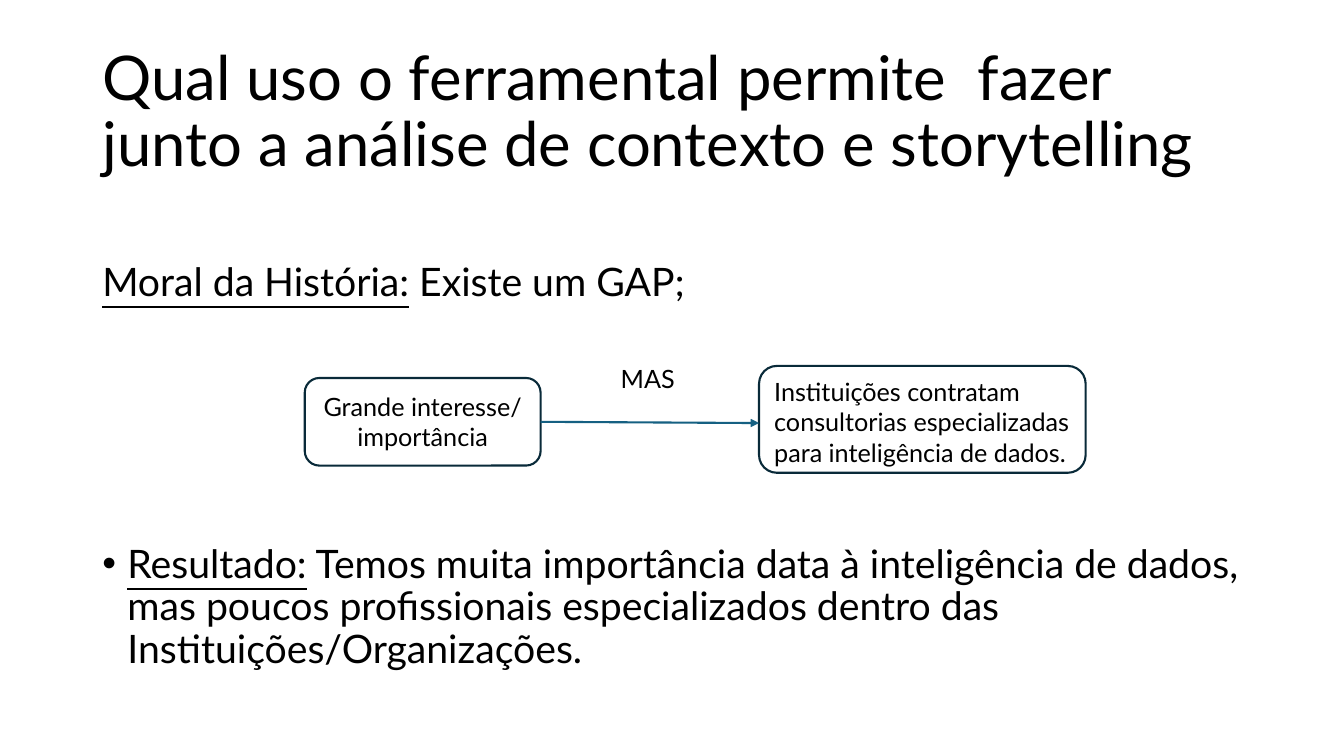
import dataclasses
import typing

import lxml.etree
import pptx
import pptx.dml.color
import pptx.enum.shapes
import pptx.enum.text
import pptx.oxml.ns
import pptx.util

Pt = pptx.util.Pt
Align = pptx.enum.text.PP_ALIGN
Anchor = pptx.enum.text.MSO_ANCHOR


@dataclasses.dataclass(frozen=True)
class Theme:
    font: str = "Lato"
    ink: str = "000000"
    outline: str = "092A39"
    arrow: str = "156082"
    title: float = 44
    body: float = 28
    label: float = 18
    stroke: float = 1.5
    tight: float = 0.9


@dataclasses.dataclass(frozen=True)
class Bounds:
    left: float
    top: float
    width: float
    height: float

    def lengths(self) -> tuple:
        return tuple(Pt(value) for value in dataclasses.astuple(self))


@dataclasses.dataclass(frozen=True)
class Statement:
    bounds: Bounds
    lead: str
    rest: str
    bulleted: bool = False


@dataclasses.dataclass(frozen=True)
class Idea:
    bounds: Bounds
    lines: tuple
    align: typing.Any
    frame: dict


THEME = Theme()
HEADING = "Qual uso o ferramental permite  fazer junto a análise de contexto e storytelling"
HEADING_BOUNDS = Bounds(66, 28.8, 828, 104.4)
STATEMENTS = (
    Statement(Bounds(66, 184.3, 828, 42), "Moral da História:", " Existe um GAP;"),
    Statement(
        Bounds(66, 385.5, 828, 102),
        "Resultado:",
        " Temos muita importância data à inteligência de dados, mas poucos "
        "profissionais especializados dentro das Instituições/Organizações.",
        bulleted=True,
    ),
)
INTEREST = Idea(
    Bounds(217.7, 270, 168.5, 62.6),
    ("Grande interesse/", "importância"),
    Align.CENTER,
    {},
)
OUTSOURCING = Idea(
    Bounds(542.2, 261.4, 233.3, 76.3),
    ("Instituições contratam consultorias especializadas para inteligência de dados.",),
    Align.LEFT,
    {"margin_right": 0, "margin_top": Pt(3.6), "margin_bottom": 0},
)
CONTRAST_BOUNDS = Bounds(436.3, 256.3, 76.3, 29)
ARROW_END = (542.2, 302.2)


def apply(target: typing.Any, formats: dict) -> None:
    for name, value in formats.items():
        setattr(target, name, value)


def rgb(code: str) -> pptx.dml.color.RGBColor:
    return pptx.dml.color.RGBColor.from_string(code)


def add_run(paragraph: typing.Any, text: str, size: float, underline: bool = False) -> None:
    run = paragraph.add_run()
    run.text = text
    apply(run.font, {"name": THEME.font, "size": Pt(size), "underline": underline})
    run.font.color.rgb = rgb(THEME.ink)


def add_bullet(paragraph: typing.Any) -> None:
    properties = paragraph._p.get_or_add_pPr()
    indent = Pt(18)
    properties.set("marL", str(indent))
    properties.set("indent", str(-indent))
    tag = pptx.oxml.ns.qn
    lxml.etree.SubElement(properties, tag("a:buFont")).set("typeface", "Arial")
    lxml.etree.SubElement(properties, tag("a:buChar")).set("char", "•")


def set_heading(slide: typing.Any) -> None:
    heading = slide.shapes.title
    apply(heading, dict(zip(("left", "top", "width", "height"), HEADING_BOUNDS.lengths())))
    apply(heading.text_frame, {
        "word_wrap": True,
        "auto_size": pptx.enum.text.MSO_AUTO_SIZE.NONE,
        "vertical_anchor": Anchor.MIDDLE,
    })
    paragraph = heading.text_frame.paragraphs[0]
    apply(paragraph, {"alignment": Align.LEFT, "line_spacing": THEME.tight})
    add_run(paragraph, HEADING, THEME.title)


def add_statement(slide: typing.Any, statement: Statement) -> None:
    frame = slide.shapes.add_textbox(*statement.bounds.lengths()).text_frame
    frame.word_wrap = True
    paragraph = frame.paragraphs[0]
    if statement.bulleted:
        add_bullet(paragraph)
    paragraph.line_spacing = THEME.tight
    add_run(paragraph, statement.lead, THEME.body, underline=True)
    add_run(paragraph, statement.rest, THEME.body)


def add_idea(slide: typing.Any, idea: Idea) -> typing.Any:
    card = slide.shapes.add_shape(
        pptx.enum.shapes.MSO_SHAPE.ROUNDED_RECTANGLE, *idea.bounds.lengths()
    )
    card.shadow.inherit = False
    card.fill.background()
    card.line.color.rgb = rgb(THEME.outline)
    card.line.width = Pt(THEME.stroke)
    frame = card.text_frame
    apply(frame, {"word_wrap": True, "vertical_anchor": Anchor.MIDDLE, **idea.frame})
    for index, line in enumerate(idea.lines):
        paragraph = frame.add_paragraph() if index else frame.paragraphs[0]
        paragraph.alignment = idea.align
        add_run(paragraph, line, THEME.label)
    return card


def add_contrast(slide: typing.Any, interest: typing.Any) -> None:
    frame = slide.shapes.add_textbox(*CONTRAST_BOUNDS.lengths()).text_frame
    frame.word_wrap = True
    add_run(frame.paragraphs[0], "MAS", THEME.label)

    end_x, end_y = (Pt(value) for value in ARROW_END)
    arrow = slide.shapes.add_connector(
        pptx.enum.shapes.MSO_CONNECTOR.STRAIGHT, end_x, end_y, end_x, end_y
    )
    arrow.begin_connect(interest, 3)
    arrow.line.color.rgb = rgb(THEME.arrow)
    arrow.line.width = Pt(THEME.stroke)
    tag = pptx.oxml.ns.qn
    stroke = arrow.line._get_or_add_ln()
    lxml.etree.SubElement(stroke, tag("a:tailEnd")).set("type", "triangle")
    lxml.etree.SubElement(arrow._element.spPr, tag("a:effectLst"))


def main() -> None:
    presentation = pptx.Presentation()
    apply(presentation, {"slide_width": Pt(960), "slide_height": Pt(540)})
    slide = presentation.slides.add_slide(presentation.slide_layouts.get_by_name("Title Only"))
    set_heading(slide)
    for statement in STATEMENTS:
        add_statement(slide, statement)
    interest = add_idea(slide, INTEREST)
    add_idea(slide, OUTSOURCING)
    add_contrast(slide, interest)
    presentation.save("out.pptx")


if __name__ == "__main__":
    main()
